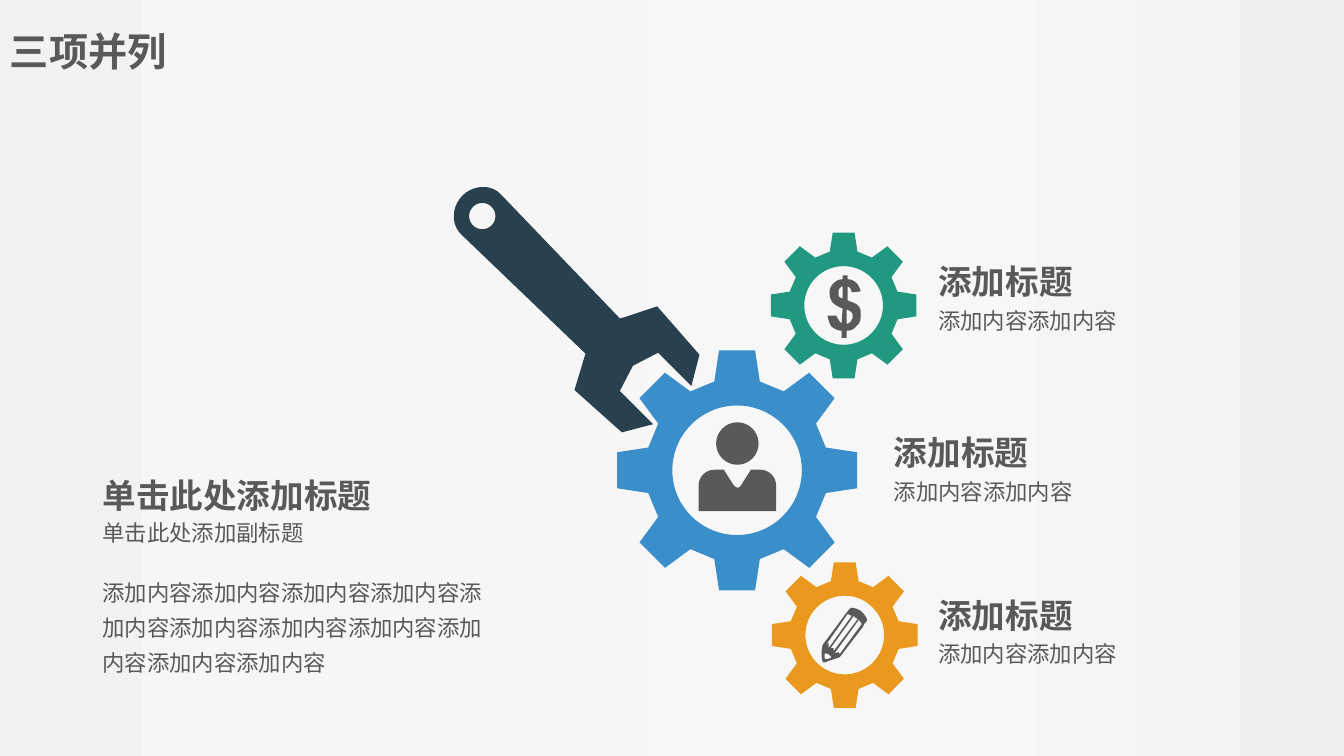
import math

import pptx
import pptx.dml.color
import pptx.enum.text
import pptx.oxml.ns
import pptx.util
from lxml import etree

THEME = {
    "ink": "595959", "green": "219980", "blue": "3A8FCB", "orange": "EA981E", "navy": "29414F",
    "backdrop": [(0, "F2F2F2"), (21, "F6F6F6"), (48, "F7F7F7"), (77, "F5F5F5"), (100, "F0F0F0")],
    "font": "Calibri", "subtitle_font": "Noto Sans CJK SC",
    "page_title": 28, "heading": 24, "body": 16,
}

PAGE_TITLE = "三项并列"
HEADING = "单击此处添加标题"
SUBTITLE = "单击此处添加副标题"
BODY = "添加内容" * 11
ITEM_TITLE, ITEM_TEXT = "添加标题", "添加内容添加内容"
ITEM_PLACES = [(663.1, 177.1), (631.4, 299.5), (663.1, 415.4)]

# Gears: centre x, centre y, outer radius, colour
GEARS = [
    (603.4, 453.6, 52, "orange"),
    (602.6, 218.2, 52, "green"),
    (526.5, 335.9, 85.7, "blue"),
]
# Half of one tooth seen from the centre, for an outer radius of 1
TOOTH = [(-0.19, -0.74), (-0.15, -1), (0.15, -1), (0.19, -0.74)]
TOOTH_COUNT, GEAR_HOLE = 8, 0.54

ICON_UNIT = 0.72
# Outlines in icon units: 2 numbers are a point, 6 a Bezier curve, 3 alone a circle (x, y, radius)
WRENCH = [
    [(201, 239), (170, 247), (123, 205), (133, 172), (134, 169), (11, 51), (0, 41, 1, 23, 12, 12),
     (22, 2, 40, 0, 50, 11), (168, 134), (172, 133), (205, 122), (247, 170), (239, 201),
     (206, 168), (181, 181), (168, 206), (199, 237)],
    [(31.5, 32.5, 13)],
]
PERSON = [
    [(38.5, 21, 21)],
    [(16, 47), (25, 47), (34, 61), (37, 66, 41, 66, 43, 61), (52, 47), (61, 47),
     (70, 47, 77, 54, 77, 63), (77, 88), (0, 88), (0, 63), (0, 54, 7, 47, 16, 47)],
]
DOLLAR = [
    [(14, 48), (15, 33), (10, 31, 7, 29, 5, 27), (3, 24, 2, 21, 2, 17), (2, 13, 4, 10, 6, 8),
     (8, 6, 11, 4, 15, 4), (15, 0), (20, 0), (20, 4), (24, 4, 27, 6, 29, 8),
     (31, 10, 32, 13, 33, 16), (24, 17), (24, 14, 22, 12, 20, 11), (20, 25),
     (25, 27, 29, 28, 31, 31), (33, 33, 33, 36, 33, 40), (33, 44, 32, 48, 29, 50),
     (27, 53, 24, 55, 19, 55), (19, 62), (14, 62), (14, 55), (10, 55, 7, 53, 4, 51),
     (2, 48, 1, 45, 0, 40), (9, 40), (9, 41, 10, 43, 11, 44), (12, 46, 13, 47, 14, 48)],
    [(15, 11), (14, 11, 13, 12, 12, 13), (11, 15, 11, 15, 11, 17), (11, 18, 11, 19, 11, 21),
     (12, 21, 13, 23, 15, 23)],
    [(19, 48), (21, 48, 22, 47, 23, 46), (24, 44, 25, 43, 25, 41), (25, 40, 25, 38, 24, 37),
     (23, 36, 22, 35, 19, 34)],
]
PENCIL = [
    [(39, 3), (35, 1), (32, 0), (29, 0), (27, 2), (24, 6), (1, 37), (0, 44), (0, 48), (1, 53),
     (2, 54), (4, 54), (6, 53), (18, 49), (41, 19), (43, 15), (45, 13), (45, 11), (44, 9), (42, 6)],
    [(18, 46), (17, 44), (13, 45), (37, 12), (38, 13), (40, 16)],
    [(10, 49), (6, 51), (4, 51), (3, 50), (3, 46), (4, 45), (7, 46), (9, 48)],
    [(26, 6), (28, 7), (30, 8), (7, 40), (7, 35), (5, 36)],
    [(12, 43), (12, 40), (9, 40), (32, 8), (34, 10), (36, 11)],
]
# Icons: left, top, outline, colour
ICONS = [
    (499, 301.7, PERSON, "ink"),
    (321.8, 131, WRENCH, "navy"),
    (591.1, 196.6, DOLLAR, "ink"),
    (586.8, 434.2, PENCIL, "ink"),
]


def circle(x, y, radius, steps=72):
    turns = [2 * math.pi * step / steps for step in range(steps)]
    return [(x + radius * math.cos(turn), y + radius * math.sin(turn)) for turn in turns]


def flatten(outline, steps=10):
    """Turn points, curves and circles into one list of points."""
    points = []
    for part in outline:
        if len(part) == 3:
            points += circle(*part)
        elif len(part) == 2:
            points.append(part)
        else:
            knots = [points[-1], part[:2], part[2:4], part[4:]]
            for step in range(1, steps + 1):
                t = step / steps
                weights = ((1 - t) ** 3, 3 * t * (1 - t) ** 2, 3 * t * t * (1 - t), t ** 3)
                points.append(tuple(sum(w * knot[axis] for w, knot in zip(weights, knots))
                                    for axis in (0, 1)))
    return points


def gear_outlines():
    rim = []
    for index in range(TOOTH_COUNT):
        turn = 2 * math.pi * index / TOOTH_COUNT
        cos, sin = math.cos(turn), math.sin(turn)
        rim += [(x * cos - y * sin, x * sin + y * cos) for x, y in TOOTH]
    return [rim, [(0, 0, GEAR_HOLE)]]


def draw_outlines(page, left, top, unit, outlines, color):
    """Draw closed outlines as one filled shape; inner outlines become holes."""
    builder = None
    for outline in outlines:
        points = [(pptx.util.Pt(x * unit), pptx.util.Pt(y * unit)) for x, y in flatten(outline)]
        if builder is None:
            builder = page.shapes.build_freeform(*points[0], scale=1.0)
        else:
            builder.move_to(*points[0])
        builder.add_line_segments(points[1:], close=True)
    shape = builder.convert_to_shape(pptx.util.Pt(left), pptx.util.Pt(top))
    shape.shadow.inherit = False
    shape.fill.solid()
    shape.fill.fore_color.rgb = pptx.dml.color.RGBColor.from_string(THEME[color])
    shape.line.fill.background()


def add_text(page, left, top, width, height, lines, spacing=1.2, font="font", wrap=True):
    """Add a text box; lines holds (text, size name, bold)."""
    box = page.shapes.add_textbox(*map(pptx.util.Pt, (left, top, width, height)))
    frame = box.text_frame
    frame.word_wrap = wrap
    frame.auto_size = pptx.enum.text.MSO_AUTO_SIZE.SHAPE_TO_FIT_TEXT
    for index, (text, size, bold) in enumerate(lines):
        para = frame.add_paragraph() if index else frame.paragraphs[0]
        para.line_spacing = spacing
        span = para.add_run()
        span.text = text
        span.font.name = THEME[font]
        span.font.size = pptx.util.Pt(THEME[size])
        span.font.bold = bold
        span.font.color.rgb = pptx.dml.color.RGBColor.from_string(THEME["ink"])


def paint_backdrop(page):
    fill = page.background.fill
    fill.gradient()
    fill.gradient_angle = 0
    qn = pptx.oxml.ns.qn
    stops = page.element.find(".//" + qn("a:gsLst"))
    for stop in list(stops):
        stops.remove(stop)
    for percent, color in THEME["backdrop"]:
        stop = etree.SubElement(stops, qn("a:gs"), pos=str(percent * 1000))
        etree.SubElement(stop, qn("a:srgbClr"), val=color)


def main():
    deck = pptx.Presentation()
    deck.slide_width, deck.slide_height = pptx.util.Pt(960), pptx.util.Pt(540)
    page = deck.slides.add_slide(deck.slide_layouts[6])
    paint_backdrop(page)
    for x, y, radius, color in GEARS:
        draw_outlines(page, x, y, radius, gear_outlines(), color)
    for left, top, outlines, color in ICONS:
        draw_outlines(page, left, top, ICON_UNIT, outlines, color)
    for left, top in ITEM_PLACES:
        add_text(page, left, top, 224.6, 65.5,
                 [(ITEM_TITLE, "heading", True), (ITEM_TEXT, "body", False)])
    add_text(page, 66.2, 404.6, 287.3, 82.8, [(BODY, "body", False)], spacing=1.3)
    add_text(page, 66.2, 329.8, 308.2, 42.5, [(HEADING, "heading", True)])
    add_text(page, 66.2, 362.9, 391, 28.8, [(SUBTITLE, "body", False)],
             spacing=1.23, font="subtitle_font")
    add_text(page, 0, 15.8, 127.4, 41, [(PAGE_TITLE, "page_title", True)], spacing=1.0, wrap=False)
    deck.save("out.pptx")


if __name__ == "__main__":
    main()
